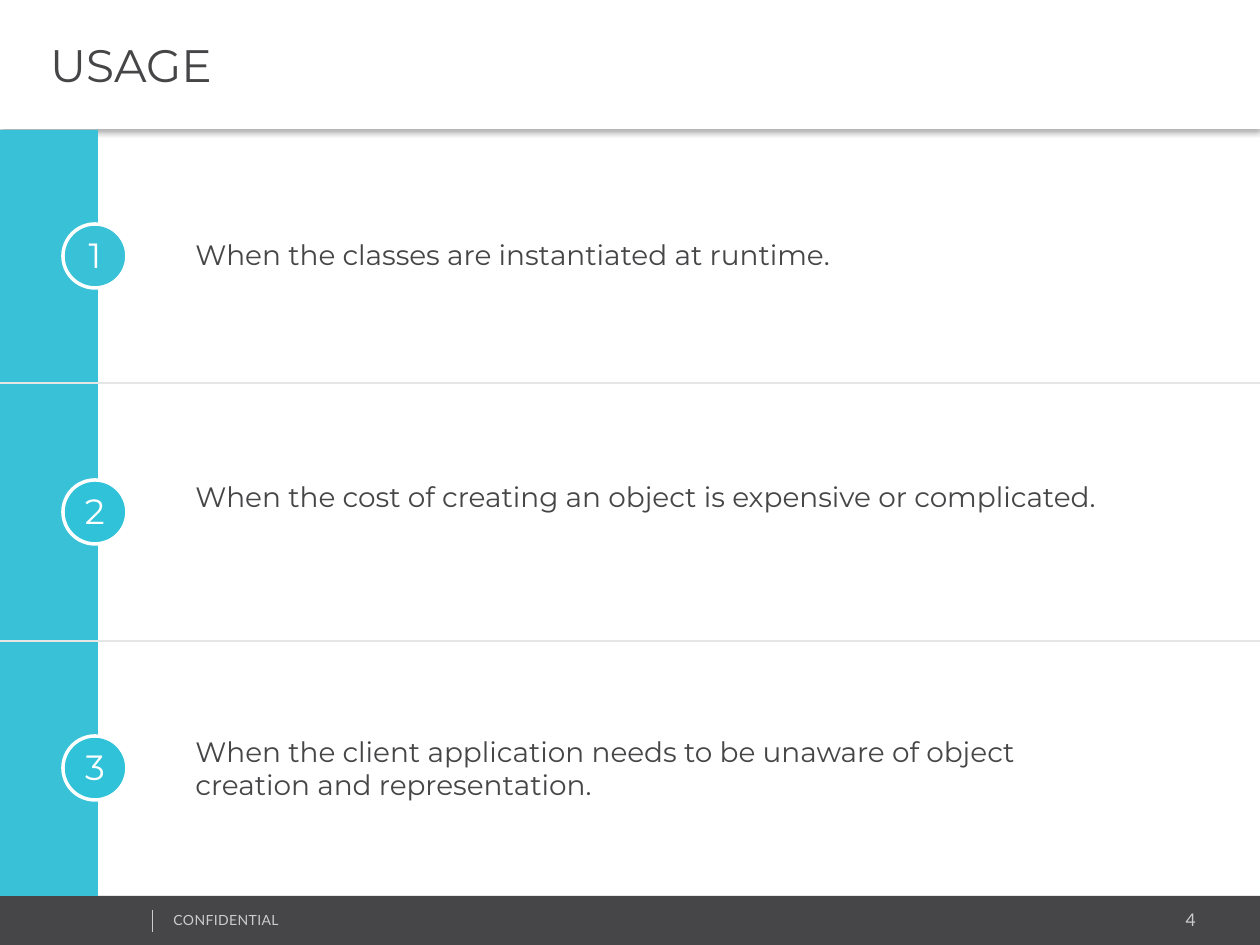
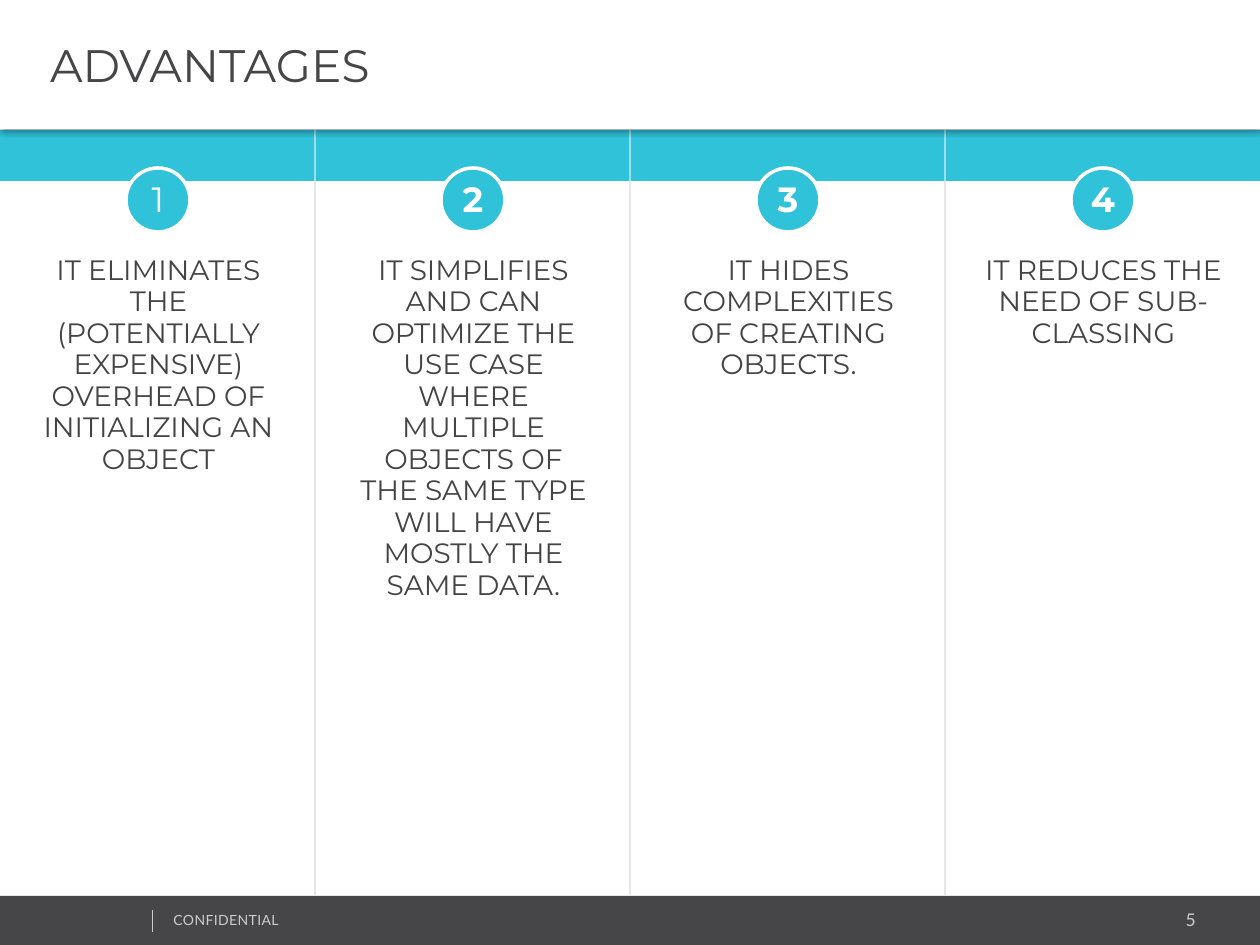
"""Build the usage and advantages slides of the design pattern deck."""
from lxml import etree
from pptx import Presentation
from pptx.dml.color import RGBColor
from pptx.enum.shapes import MSO_CONNECTOR, MSO_SHAPE
from pptx.enum.text import MSO_ANCHOR, MSO_AUTO_SIZE, PP_ALIGN
from pptx.oxml.ns import qn
from pptx.util import Pt

LEFT, CENTER, RIGHT = PP_ALIGN.LEFT, PP_ALIGN.CENTER, PP_ALIGN.RIGHT
MIDDLE = MSO_ANCHOR.MIDDLE
NO_FIT, GROW = MSO_AUTO_SIZE.NONE, MSO_AUTO_SIZE.SHAPE_TO_FIT_TEXT
RECTANGLE, OVAL = MSO_SHAPE.RECTANGLE, MSO_SHAPE.OVAL
STRAIGHT = MSO_CONNECTOR.STRAIGHT
TITLE_ONLY = 5

EMU_PER_PX = 914400 / 126
PAGE_W, PAGE_H = 1260, 945
HEADER_H, CONTENT_TOP, FOOTER_TOP = 129, 130, 896
BADGE = 64
HEAD_FONT, FOOT_FONT = "Montserrat", "Lato"
COLORS = {
    "white": "FFFFFF",
    "dark": "464547",
    "body": "444444",
    "cyan": "2FC2D9",
    "soft_cyan": "39C2D7",
    "rule": "E6E6E6",
    "footer": "CCCCCC",
    "shadow": "000000",
}

USAGES = [
    ("When the classes are instantiated at runtime.", 231, 895, 47),
    ("When the cost of creating an object is expensive or complicated.", 473, 959, 81),
    ("When the client application needs to be unaware of object creation "
     "and representation.", 728, 912, 81),
]
ADVANTAGES = [
    ("IT ELIMINATES THE (POTENTIALLY EXPENSIVE) OVERHEAD OF INITIALIZING AN OBJECT", 236),
    ("IT SIMPLIFIES AND CAN OPTIMIZE THE USE CASE WHERE MULTIPLE OBJECTS OF THE "
     "SAME TYPE WILL HAVE MOSTLY THE SAME DATA.", 394),
    ("IT HIDES COMPLEXITIES OF CREATING OBJECTS.", 140),
    ("IT REDUCES THE NEED OF SUB-CLASSING", 108),
]


def px(*lengths):
    """Turn pixel lengths into a list of EMU lengths."""
    return [round(length * EMU_PER_PX) for length in lengths]


def rgb(name):
    """Look up a named colour."""
    return RGBColor.from_string(COLORS[name])


def write(frame, text, size, color, align=LEFT, font=HEAD_FONT, bold=False):
    """Set the text of a frame and format its only run."""
    frame.text = text
    frame.word_wrap = True
    para = frame.paragraphs[0]
    para.alignment = align
    span = para.runs[0]
    span.font.name = font
    span.font.size = Pt(size)
    span.font.bold = bold
    span.font.color.rgb = rgb(color)
    return para


def add_text(page, place, text, size, color, **style):
    """Add a wrapping text box and return its paragraph."""
    frame = page.shapes.add_textbox(*px(*place)).text_frame
    para = write(frame, text, size, color, **style)
    frame.auto_size = GROW
    return para


def add_block(page, place, color, kind=RECTANGLE):
    """Add a flat filled shape without an outline."""
    block = page.shapes.add_shape(kind, *px(*place))
    block.shadow.inherit = False
    block.fill.solid()
    block.fill.fore_color.rgb = rgb(color)
    block.line.fill.background()
    return block


def add_rule(page, ends, color, width=1, opacity=None):
    """Add a straight line, optionally see-through."""
    rule = page.shapes.add_connector(STRAIGHT, *px(*ends))
    rule.line.color.rgb = rgb(color)
    rule.line.width = Pt(width)
    props = rule.element.spPr
    if opacity:
        paint = props.find(".//" + qn("a:srgbClr"))
        etree.SubElement(paint, qn("a:alpha"), val=str(opacity * 1000))
    etree.SubElement(props, qn("a:effectLst"))


def add_badge(page, left, top, number, color="cyan", bold=False):
    """Add a numbered circle with a white ring."""
    badge = add_block(page, (left, top, BADGE, BADGE), color, OVAL)
    badge.line.color.rgb = rgb("white")
    badge.line.width = Pt(2)
    frame = badge.text_frame
    write(frame, str(number), 20, "white", align=CENTER, bold=bold)
    frame.vertical_anchor = MIDDLE
    frame.margin_left = frame.margin_right = 0
    frame.margin_top, frame.margin_bottom = px(4, 6)


def add_shadow(shape):
    """Give a shape a soft shadow below it."""
    effects = etree.SubElement(shape.element.spPr, qn("a:effectLst"))
    shadow = etree.SubElement(
        effects, qn("a:outerShdw"), blurRad=str(Pt(3.1)), dist=str(Pt(2)),
        dir="5400000", algn="t", rotWithShape="0")
    paint = etree.SubElement(shadow, qn("a:srgbClr"), val=COLORS["shadow"])
    etree.SubElement(paint, qn("a:alpha"), val="30000")


def set_title(page, text):
    """Turn the title placeholder into the white header band."""
    title = page.shapes.title
    title.left, title.top, title.width, title.height = px(0, 0, PAGE_W, HEADER_H)
    title.fill.solid()
    title.fill.fore_color.rgb = rgb("white")
    add_shadow(title)
    frame = title.text_frame
    write(frame, text, 26, "dark")
    frame.auto_size = NO_FIT
    frame.vertical_anchor = MIDDLE
    frame.margin_left, frame.margin_right = px(50, 13)
    return title


def add_footer(page, number):
    """Add the dark footer with its label and page number."""
    add_block(page, (0, FOOTER_TOP, PAGE_W, PAGE_H - FOOTER_TOP), "dark")
    add_text(page, (1003, 903, 205, 34), str(number), 10, "footer",
             align=RIGHT, font=FOOT_FONT)
    label = add_text(page, (161, 905, 319, 30), "CONFIDENTIAL", 8, "footer",
                     font=FOOT_FONT)
    label.runs[0].font._element.set("spc", "20")
    add_rule(page, (152, 910, 152, 932), "footer", 0.25)


def add_page(deck, title, number):
    """Add a slide with the shared footer and title."""
    page = deck.slides.add_slide(deck.slide_layouts[TITLE_ONLY])
    add_footer(page, number)
    return page, set_title(page, title)


def build_usage(deck):
    """Lay out the usages as numbered rows."""
    page, _ = add_page(deck, "USAGE", 4)
    add_block(page, (0, CONTENT_TOP, 98, FOOTER_TOP - CONTENT_TOP), "soft_cyan")
    for row, (text, top, width, height) in enumerate(USAGES):
        if row:
            divider = 125 + 258 * row
            add_rule(page, (0, divider, PAGE_W, divider), "rule")
        add_badge(page, 63, 224 + 256 * row, row + 1, "cyan" if row else "soft_cyan")
        add_text(page, (183, top, width, height), text, 16, "dark")


def build_advantages(deck):
    """Lay out the advantages as numbered columns."""
    page, title = add_page(deck, "ADVANTAGES", 5)
    band_bottom = 181
    add_block(page, (0, CONTENT_TOP, PAGE_W, band_bottom - CONTENT_TOP), "cyan")
    column_w = PAGE_W // len(ADVANTAGES)
    for column, (text, height) in enumerate(ADVANTAGES):
        left = column * column_w
        if column:
            add_rule(page, (left, CONTENT_TOP, left, band_bottom), "white", opacity=50)
            add_rule(page, (left, band_bottom, left, FOOTER_TOP), "rule")
        add_badge(page, left + 126, 168, column + 1, bold=column > 0)
        para = add_text(page, (left + 25, 248, 267, height), text, 16, "body",
                        align=CENTER)
        para.line_spacing = Pt(18)
    title.element.getparent().append(title.element)


def main():
    """Build and save the deck."""
    deck = Presentation()
    deck.slide_width, deck.slide_height = px(PAGE_W, PAGE_H)
    build_usage(deck)
    build_advantages(deck)
    deck.save("out.pptx")


if __name__ == "__main__":
    main()
